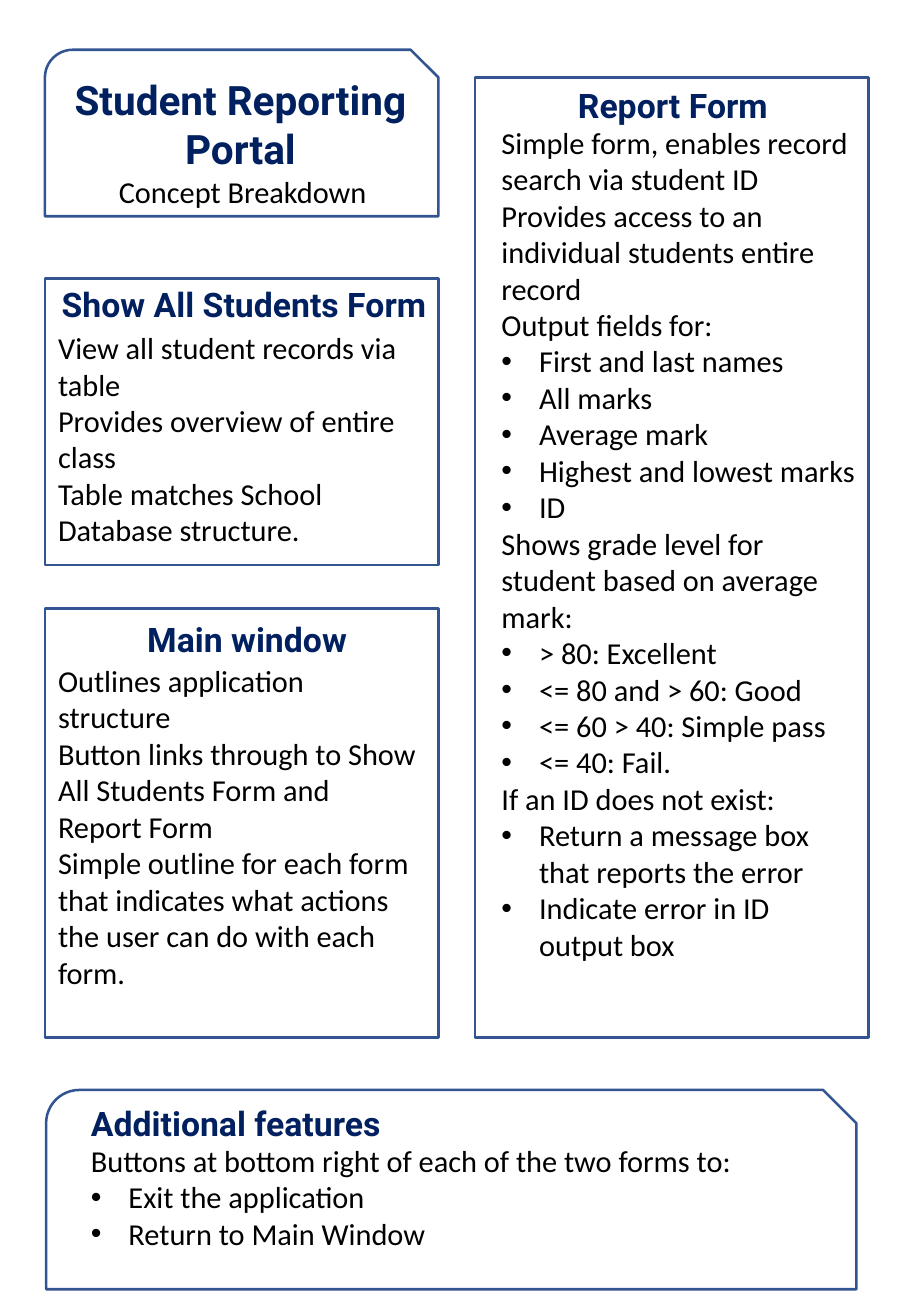
from dataclasses import dataclass
from typing import Any

from lxml import etree
from pptx import Presentation
from pptx.dml.color import RGBColor
from pptx.enum import shapes, text
from pptx.oxml import ns
from pptx.util import Inches, Pt

OUTLINE = RGBColor(0x32, 0x54, 0x91)
NAVY = RGBColor(0x00, 0x20, 0x60)
BLACK = RGBColor(0x00, 0x00, 0x00)

RECTANGLE = shapes.MSO_SHAPE.RECTANGLE
SNIPPED = shapes.MSO_SHAPE.SNIP_ROUND_RECTANGLE
LEFT = text.PP_ALIGN.LEFT
CENTER = text.PP_ALIGN.CENTER
BULLET = "• "


@dataclass
class Sheet:
    slide: Any
    heading_font: str = "Roboto"
    body_font: str = "Calibri"
    body_size: int = 18
    indent: float = 0.31

    def frame(self, area, outline=RECTANGLE):
        panel = self.slide.shapes.add_shape(outline, *map(Inches, area))
        panel.shadow.inherit = False
        panel.fill.background()
        panel.line.color.rgb = OUTLINE
        panel.line.width = Pt(1.5)

    def add_words(self, area, lines, font, size, color, bold=False, align=LEFT, wrap=True):
        words = self.slide.shapes.add_textbox(*map(Inches, area)).text_frame
        words.word_wrap = wrap
        words.auto_size = text.MSO_AUTO_SIZE.SHAPE_TO_FIT_TEXT
        for index, line in enumerate(lines):
            paragraph = words.paragraphs[0] if index == 0 else words.add_paragraph()
            paragraph.alignment = align
            if line.startswith(BULLET):
                self.bullet(paragraph)
            run = paragraph.add_run()
            run.text = line.removeprefix(BULLET)
            run.font.name = font
            run.font.size = Pt(size)
            run.font.bold = bold
            run.font.color.rgb = color

    def bullet(self, paragraph):
        properties = paragraph._p.get_or_add_pPr()
        properties.set("marL", str(Inches(self.indent)))
        properties.set("indent", str(-Inches(self.indent)))
        etree.SubElement(properties, ns.qn("a:buFont"), typeface="Arial")
        etree.SubElement(properties, ns.qn("a:buChar"), char=BULLET.strip())

    def heading(self, area, title, size=20, align=CENTER):
        self.add_words(area, [title], self.heading_font, size, NAVY, True, align)

    def body(self, area, lines, wrap=True):
        self.add_words(area, lines, self.body_font, self.body_size, BLACK, wrap=wrap)


deck = Presentation()
deck.slide_width = Inches(7.5)
deck.slide_height = Inches(10.83)
sheet = Sheet(deck.slides.add_slide(deck.slide_layouts[6]))

sheet.frame((0.37, 0.41, 3.24, 1.37), SNIPPED)
sheet.heading((0.36, 0.57, 3.24, 0.91), "Student Reporting Portal", size=24)
sheet.body((0.88, 1.38, 2.27, 0.4), ["Concept Breakdown"], wrap=False)

sheet.frame((0.37, 2.29, 3.24, 2.36))
sheet.heading((0.23, 2.29, 3.56, 0.44), "Show All Students Form")
sheet.body((0.38, 2.66, 3.1, 1.92), [
    "View all student records via table",
    "Provides overview of entire class",
    "Table matches School Database structure.",
])

sheet.frame((0.37, 5.01, 3.24, 3.53))
sheet.heading((0.75, 5.04, 2.57, 0.44), "Main window")
sheet.body((0.38, 5.4, 3.16, 2.83), [
    "Outlines application structure",
    "Button links through to Show All Students Form and Report Form",
    "Simple outline for each form that indicates what actions the user can do with each form.",
])

sheet.frame((3.91, 0.64, 3.24, 7.9))
sheet.heading((4.33, 0.65, 2.42, 0.44), "Report Form")
sheet.body((4.03, 0.97, 3.11, 7.37), [
    "Simple form, enables record search via student ID",
    "Provides access to an individual students entire record",
    "Output fields for:",
    "• First and last names",
    "• All marks",
    "• Average mark",
    "• Highest and lowest marks",
    "• ID",
    "Shows grade level for student based on average mark:",
    "• > 80: Excellent",
    "• <= 80 and > 60: Good",
    "• <= 60 > 40: Simple pass",
    "• <= 40: Fail.",
    "If an ID does not exist:",
    "• Return a message box that reports the error",
    "• Indicate error in ID output box",
])

sheet.frame((0.38, 8.97, 6.67, 1.64), SNIPPED)
sheet.heading((0.65, 9.03, 3.64, 0.44), "Additional features", align=LEFT)
sheet.body((0.65, 9.35, 6.43, 1.01), [
    "Buttons at bottom right of each of the two forms to:",
    "• Exit the application",
    "• Return to Main Window",
])

deck.save("out.pptx")
